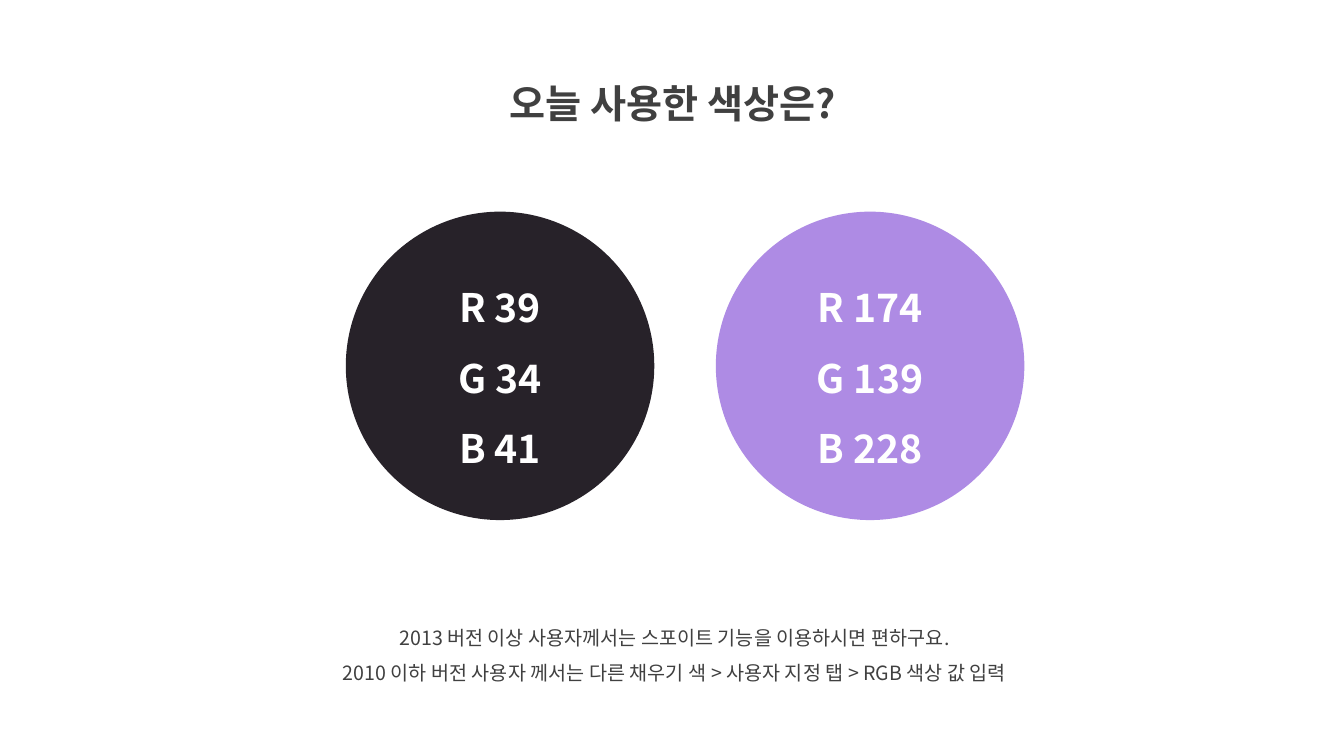
from lxml.etree import SubElement
from pptx import Presentation
from pptx.dml.color import RGBColor
from pptx.enum.shapes import MSO_SHAPE
from pptx.enum.text import MSO_ANCHOR, MSO_AUTO_SIZE, PP_ALIGN
from pptx.oxml.ns import qn
from pptx.util import Inches, Pt

WIDE, HIGH = 13.33, 7.5
FONT = "Noto Sans CJK KR"
INK, WHITE = "404040", "FFFFFF"
SWATCHES = ["272229", "AE8BE4"]
TITLE = "오늘 사용한 색상은?"
NOTES = [
    "2013 버전 이상 사용자께서는 스포이트 기능을 이용하시면 편하구요.",
    "2010 이하 버전 사용자 께서는 다른 채우기 색 > 사용자 지정 탭 > RGB 색상 값 입력",
]


def color(code):
    return RGBColor.from_string(code)


def write(frame, lines, size, ink, bold=False):
    """Fill a text frame with centred lines, one run each."""
    frame.word_wrap = True
    for i, line in enumerate(lines):
        para = frame.paragraphs[0] if i == 0 else frame.add_paragraph()
        para.alignment = PP_ALIGN.CENTER
        para.line_spacing = 1.5
        run = para.add_run()
        run.text = line
        font = run.font
        font.size, font.bold, font.name = Pt(size), bold, FONT
        font.color.rgb = color(ink)
        # Korean letters take the East Asian font
        SubElement(run._r.get_or_add_rPr(), qn("a:ea"), typeface=FONT)


def add_text(slide, box, lines, size, bold=False):
    frame = slide.shapes.add_textbox(*map(Inches, box)).text_frame
    write(frame, lines, size, INK, bold)
    frame.auto_size = MSO_AUTO_SIZE.SHAPE_TO_FIT_TEXT


def add_swatch(slide, box, code):
    """Draw a disc that names its own red, green and blue values."""
    disc = slide.shapes.add_shape(MSO_SHAPE.OVAL, *map(Inches, box))
    disc.shadow.inherit = False
    disc.fill.solid()
    disc.fill.fore_color.rgb = color(code)
    disc.line.fill.background()
    frame = disc.text_frame
    frame.vertical_anchor = MSO_ANCHOR.MIDDLE
    lines = [f"{name} {value}" for name, value in zip("RGB", color(code))]
    write(frame, lines, 28, WHITE, bold=True)


def add_row(slide, box, codes):
    """Spread discs as tall as the box evenly across its width."""
    left, top, width, size = box
    step = (width - size) / (len(codes) - 1)
    for i, code in enumerate(codes):
        add_swatch(slide, (left + i * step, top, size, size), code)


def main():
    deck = Presentation()
    deck.slide_width, deck.slide_height = Inches(WIDE), Inches(HIGH)
    slide = deck.slides.add_slide(deck.slide_layouts[6])

    # Title
    add_text(slide, (4.36, HIGH / 15, 4.63, 0.72), [TITLE], 28, bold=True)
    # Colour discs
    add_row(slide, (3.43, HIGH * 0.28, 6.73, 3.06), SWATCHES)
    # Notes on use
    add_text(slide, (2.69, 6.04, WIDE * 0.6, 0.81), NOTES, 14)

    deck.save("out.pptx")


if __name__ == "__main__":
    main()
